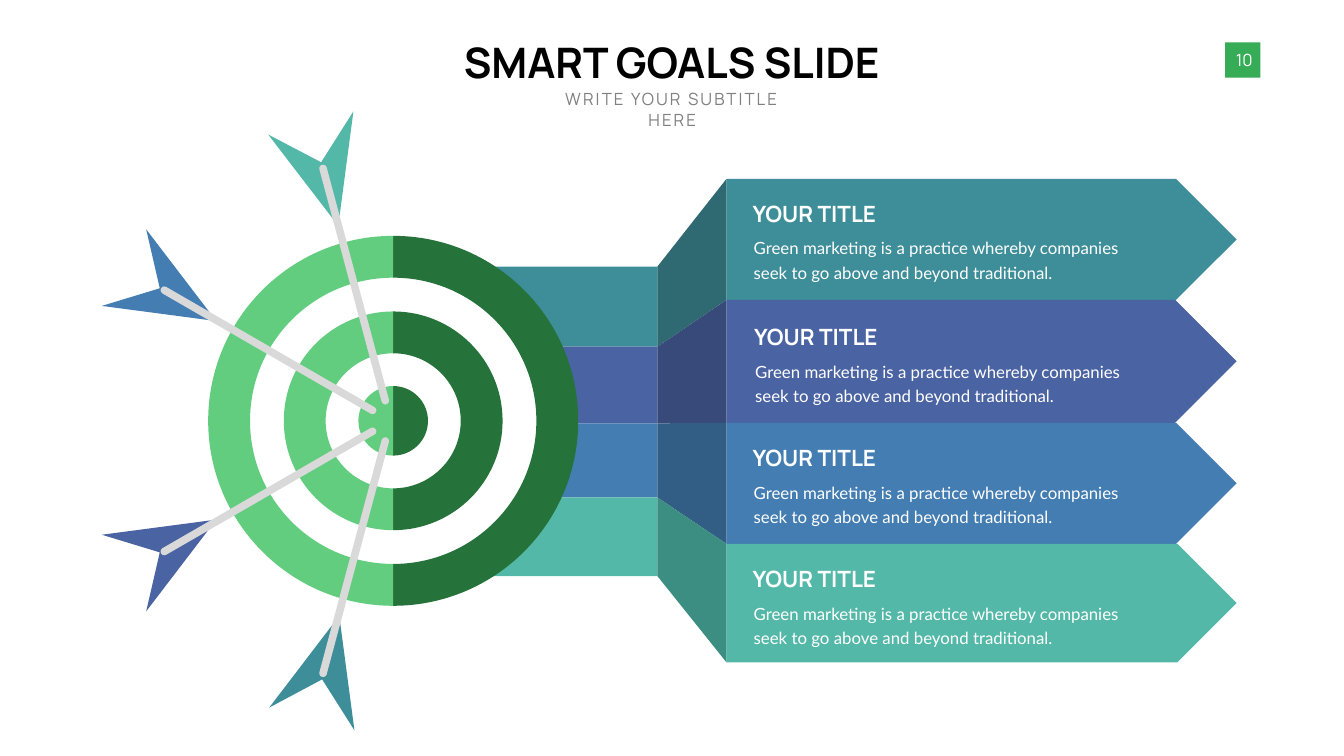
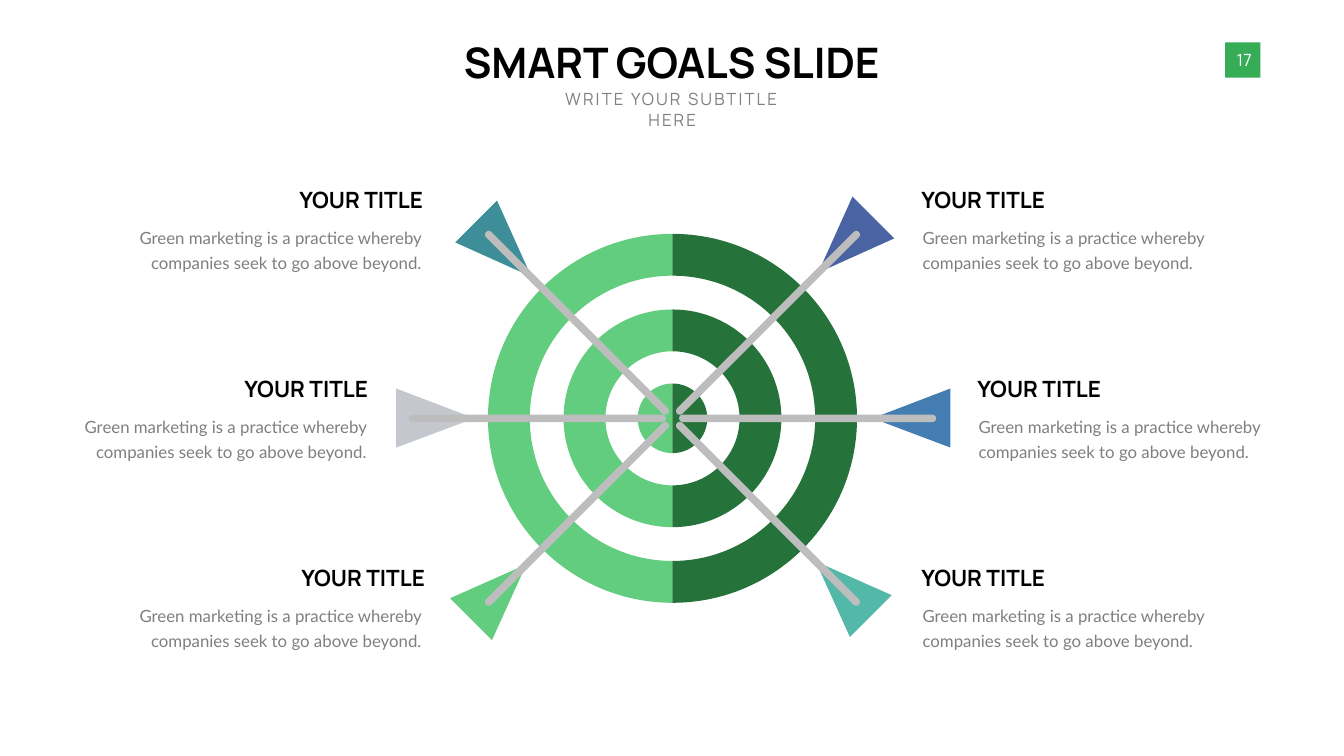
from math import cos, radians, sin

from pptx import Presentation
from pptx.dml.color import RGBColor
from pptx.enum.shapes import MSO_SHAPE
from pptx.enum.text import MSO_ANCHOR, MSO_AUTO_SIZE, PP_ALIGN
from pptx.oxml.ns import qn
from pptx.util import Inches, Pt

RECT, PENTAGON, ROUNDED = MSO_SHAPE.RECTANGLE, MSO_SHAPE.PENTAGON, MSO_SHAPE.ROUNDED_RECTANGLE
LEFT, CENTER, RIGHT = PP_ALIGN.LEFT, PP_ALIGN.CENTER, PP_ALIGN.RIGHT
TOP, MIDDLE = MSO_ANCHOR.TOP, MSO_ANCHOR.MIDDLE
GROW = MSO_AUTO_SIZE.SHAPE_TO_FIT_TEXT

WHITE = RGBColor(0xFF, 0xFF, 0xFF)
BLACK = RGBColor(0x00, 0x00, 0x00)
SUBTITLE_GRAY = RGBColor(0x80, 0x80, 0x80)
BODY_GRAY = RGBColor(0x7F, 0x7F, 0x7F)
PAGE_GREEN = RGBColor(0x37, 0xAC, 0x57)
LIGHT_GREEN = RGBColor(0x62, 0xCD, 0x7F)
DARK_GREEN = RGBColor(0x25, 0x73, 0x3A)
TEAL = RGBColor(0x3E, 0x8E, 0x99)
INDIGO = RGBColor(0x4A, 0x63, 0xA2)
BLUE = RGBColor(0x43, 0x7D, 0xB2)
MINT = RGBColor(0x54, 0xB8, 0xA8)
SILVER = RGBColor(0xC4, 0xC8, 0xCE)
TEAL_FOLD = RGBColor(0x2F, 0x6A, 0x73)
INDIGO_FOLD = RGBColor(0x38, 0x4A, 0x7A)
BLUE_FOLD = RGBColor(0x32, 0x5E, 0x85)
MINT_FOLD = RGBColor(0x3B, 0x8E, 0x81)
PALE_SHAFT = RGBColor(0xD9, 0xD9, 0xD9)
GRAY_SHAFT = RGBColor(0xBD, 0xBD, 0xBD)

HEADING_FONT, BODY_FONT = "Manrope", "Lato"
SLIDE_TITLE = "SMART GOALS SLIDE"
SUBTITLE = "WRITE YOUR SUBTITLE HERE"
GOAL_TITLE = "YOUR TITLE"
BANNER_TEXT = ("Green marketing is a practice whereby companies "
               "seek to go above and beyond traditional.")
ARROW_TEXT = "Green marketing is a practice whereby companies seek to go above beyond."

BULLSEYE_RADIUS = 0.69
SHAFT_THICKNESS = 0.15
QUARTER_HANDLE = 0.5523  # Bezier handle of a quarter circle, as a share of its radius

# Banner fill, fold fill, left and top of the banner's title
BANNERS = [
    (TEAL, TEAL_FOLD, 14.83, 3.91),
    (INDIGO, INDIGO_FOLD, 14.86, 6.36),
    (BLUE, BLUE_FOLD, 14.83, 8.76),
    (MINT, MINT_FOLD, 14.83, 11.16),
]
BANNER_EDGES = [3.55, 5.95, 8.39, 10.79, 13.14]
STRIP_EDGES = [5.29, 6.88, 8.4, 9.87, 11.43]
FOLD_LEFT, FOLD_RIGHT, BANNER_TIP = 13.04, 14.41, 24.53

# Shaft rotation, side of the aim point along it, vane fill, vane outline
BANNER_ARROWS = [
    (255, 1, MINT, [(5.32, 2.67), (6.37, 3.22), (7.01, 2.21), (6.71, 4.48)]),
    (285, -1, TEAL, [(5.34, 14.04), (6.39, 13.48), (7.03, 14.49), (6.73, 12.22)]),
    (210, 1, BLUE, [(2.02, 6.07), (3.17, 5.72), (2.9, 4.55), (4.29, 6.37)]),
    (330, -1, INDIGO, [(2.02, 10.61), (3.17, 10.96), (2.9, 12.13), (4.29, 10.31)]),
]
GOAL_ARROWS = [
    (0, 1, BLUE, [(18.85, 8.88), (17.31, 8.3), (18.85, 7.71)]),
    (315, 1, INDIGO, [(17.74, 4.73), (16.23, 5.41), (16.91, 3.9)]),
    (45, 1, MINT, [(17.69, 11.81), (16.18, 11.14), (16.86, 12.64)]),
    (0, -1, SILVER, [(7.86, 8.88), (9.41, 8.3), (7.86, 7.71)]),
    (45, -1, TEAL, [(9.03, 4.81), (10.54, 5.49), (9.86, 3.98)]),
    (315, -1, LIGHT_GREEN, [(8.93, 11.87), (10.44, 11.2), (9.76, 12.7)]),
]
# Top and width of the row's titles, left of the left and the right one
GOAL_ROWS = [
    (3.64, 2.68, 5.81, 18.18),
    (7.39, 2.68, 4.72, 19.29),
    (11.14, 2.72, 5.81, 18.18),
]


def paint(shape, color):
    shape.shadow.inherit = False
    shape.fill.solid()
    shape.fill.fore_color.rgb = color
    shape.line.fill.background()
    return shape


def add_preset(slide, kind, left, top, width, height, color):
    box = [Inches(v) for v in (left, top, width, height)]
    return paint(slide.shapes.add_shape(kind, *box), color)


def add_outline(slide, contours, color):
    """Draw a freeform; a contour is a start point, then segments.

    A segment of one point is a line, one of three points a Bezier curve.
    """
    builder = None
    for start, *segments in contours:
        x, y = (Inches(v) for v in start)
        if builder is None:
            builder = slide.shapes.build_freeform(x, y)
        else:
            builder.move_to(x, y)
        builder.add_line_segments([(Inches(px), Inches(py))
                                   for segment in segments for px, py in segment])
    shape = paint(builder.convert_to_shape(), color)
    lines = iter(list(shape._element.iter(qn("a:lnTo"))))
    for _, *segments in contours:
        for segment in segments:
            first, *others = [next(lines) for _ in segment]
            if others:
                first.tag = qn("a:cubicBezTo")
            for line in others:
                first.append(line[0])
                line.getparent().remove(line)


def add_polygon(slide, points, color):
    start, *rest = points
    add_outline(slide, [[start, *[[point] for point in rest]]], color)


def write(frame, text, *, size, color, font=HEADING_FONT, bold=False, align=LEFT,
          anchor=TOP, wrap=False, margins=(0.1, 0.05), line_pt=None, tracking=0):
    frame.word_wrap = wrap
    frame.vertical_anchor = anchor
    frame.margin_left = frame.margin_right = Inches(margins[0])
    frame.margin_top = frame.margin_bottom = Inches(margins[1])
    paragraph = frame.paragraphs[0]
    paragraph.alignment = align
    if line_pt:
        paragraph.line_spacing = Pt(line_pt)
    run = paragraph.add_run()
    run.text = text
    run.font.name, run.font.size, run.font.bold = font, Pt(size), bold
    run.font.color.rgb = color
    if tracking:
        run.font._element.set("spc", str(tracking * 100))


def add_text(slide, text, left, top, width, height, **style):
    box = slide.shapes.add_textbox(*[Inches(v) for v in (left, top, width, height)])
    write(box.text_frame, text, **style)
    box.text_frame.auto_size = GROW


def add_goal_title(slide, left, top, width, color, align=LEFT):
    add_text(slide, GOAL_TITLE, left, top, width, 0.64, size=32, color=color,
             bold=True, align=align, anchor=MIDDLE)


def add_goal_body(slide, text, left, top, width, color, align=LEFT):
    add_text(slide, text, left, top, width, 1.17, size=24, color=color, font=BODY_FONT,
             align=align, wrap=True, margins=(0.24, 0.12), line_pt=35)


def add_base_slide(deck, page):
    """Add a blank slide with its page number."""
    slide = deck.slides.add_slide(deck.slide_layouts[6])
    badge = add_preset(slide, RECT, 24.3, 0.84, 0.7, 0.7, PAGE_GREEN)
    write(badge.text_frame, page, size=24, color=WHITE, align=CENTER, anchor=MIDDLE)
    badge.text_frame.margin_left = Inches(0.16)
    return slide


def add_heading(slide):
    add_text(slide, SLIDE_TITLE, 9.03, 0.67, 8.59, 1.11, size=60, color=BLACK,
             bold=True, align=CENTER)
    add_text(slide, SUBTITLE, 10.62, 1.72, 5.43, 0.5, size=24, color=SUBTITLE_GRAY,
             align=CENTER, wrap=True, tracking=3)


def arc(x, y, radius, start, quarters):
    """Start point and one curve per quarter turn; negative runs anticlockwise."""
    turn = 1 if quarters > 0 else -1

    def place(angle, handle):
        a = radians(angle)
        return (x + radius * (cos(a) - handle * sin(a)),
                y + radius * (sin(a) + handle * cos(a)))

    bend = turn * QUARTER_HANDLE
    angles = [start + 90 * turn * i for i in range(abs(quarters))]
    curves = [[place(a, bend), place(a + 90 * turn, -bend), place(a + 90 * turn, 0)]
              for a in angles]
    return [place(start, 0), *curves]


def half_ring(x, y, outer, inner, start):
    back, *inner_curves = arc(x, y, inner, start + 180, -2)
    return [*arc(x, y, outer, start, 2), [back], *inner_curves]


def add_target(slide, x, y, backing, rings, halves):
    """Draw a two-tone target; rings are (outer, inner) radii."""
    add_outline(slide, [arc(x, y, backing, -90, 4)], WHITE)
    for start, color in halves:
        bullseye = arc(x, y, BULLSEYE_RADIUS, start, 2)
        bands = [half_ring(x, y, outer, inner, start) for outer, inner in rings]
        add_outline(slide, [bullseye, *bands], color)


def add_arrows(slide, arrows, aim_x, aim_y, reach, length, shaft_color):
    """Draw vanes and shafts; each shaft is centred at reach from the aim point."""
    for _, _, color, vane in arrows:
        add_polygon(slide, vane, color)
    for rotation, side, _, _ in arrows:
        x = aim_x + side * reach * cos(radians(rotation))
        y = aim_y + side * reach * sin(radians(rotation))
        shaft = add_preset(slide, ROUNDED, x - length / 2, y - SHAFT_THICKNESS / 2,
                           length, SHAFT_THICKNESS, shaft_color)
        shaft.adjustments[0] = 0.5
        shaft.rotation = rotation


def build_banner_slide(deck):
    slide = add_base_slide(deck, "10")
    target_x, target_y = 7.8, 8.35
    spans = list(zip(BANNERS, BANNER_EDGES, BANNER_EDGES[1:], STRIP_EDGES, STRIP_EDGES[1:]))
    for (color, fold_color, _, _), top, bottom, strip_top, strip_bottom in spans:
        add_preset(slide, PENTAGON, FOLD_RIGHT, top, BANNER_TIP - FOLD_RIGHT,
                   bottom - top, color)
        add_preset(slide, RECT, target_x, strip_top, FOLD_LEFT - target_x,
                   strip_bottom - strip_top, color)
        add_polygon(slide, [(FOLD_RIGHT, top), (FOLD_RIGHT, bottom),
                            (FOLD_LEFT, strip_bottom), (FOLD_LEFT, strip_top)], fold_color)
    add_heading(slide)
    add_target(slide, target_x, target_y, 3.21, [(2.17, 1.34), (3.67, 2.84)],
               [(-90, DARK_GREEN), (90, LIGHT_GREEN)])
    add_arrows(slide, BANNER_ARROWS, 7.75, target_y, 2.8, 4.92, PALE_SHAFT)
    for _, _, left, top in BANNERS:
        add_goal_title(slide, left, top, 2.68, WHITE)
        add_goal_body(slide, BANNER_TEXT, left - 0.12, top + 0.61, 8.39, WHITE)


def build_arrow_slide(deck):
    slide = add_base_slide(deck, "17")
    add_heading(slide)
    target_x, target_y = 13.34, 8.3
    add_target(slide, target_x, target_y, 3.2, [(2.16, 1.33), (3.66, 2.83)],
               [(90, LIGHT_GREEN), (-90, DARK_GREEN)])
    add_arrows(slide, GOAL_ARROWS, target_x, target_y, 2.68, 5.1, GRAY_SHAFT)
    for top, width, left_x, right_x in GOAL_ROWS:
        for left, indent, align in ((left_x, 3.31, RIGHT), (right_x, 0.12, LEFT)):
            add_goal_title(slide, left, top, width, BLACK, align)
            add_goal_body(slide, ARROW_TEXT, left - indent, top + 0.68, 6.1,
                          BODY_GRAY, align)


def main():
    deck = Presentation()
    deck.slide_width, deck.slide_height = Inches(26.66), Inches(15)
    build_banner_slide(deck)
    build_arrow_slide(deck)
    deck.save("out.pptx")


if __name__ == "__main__":
    main()
